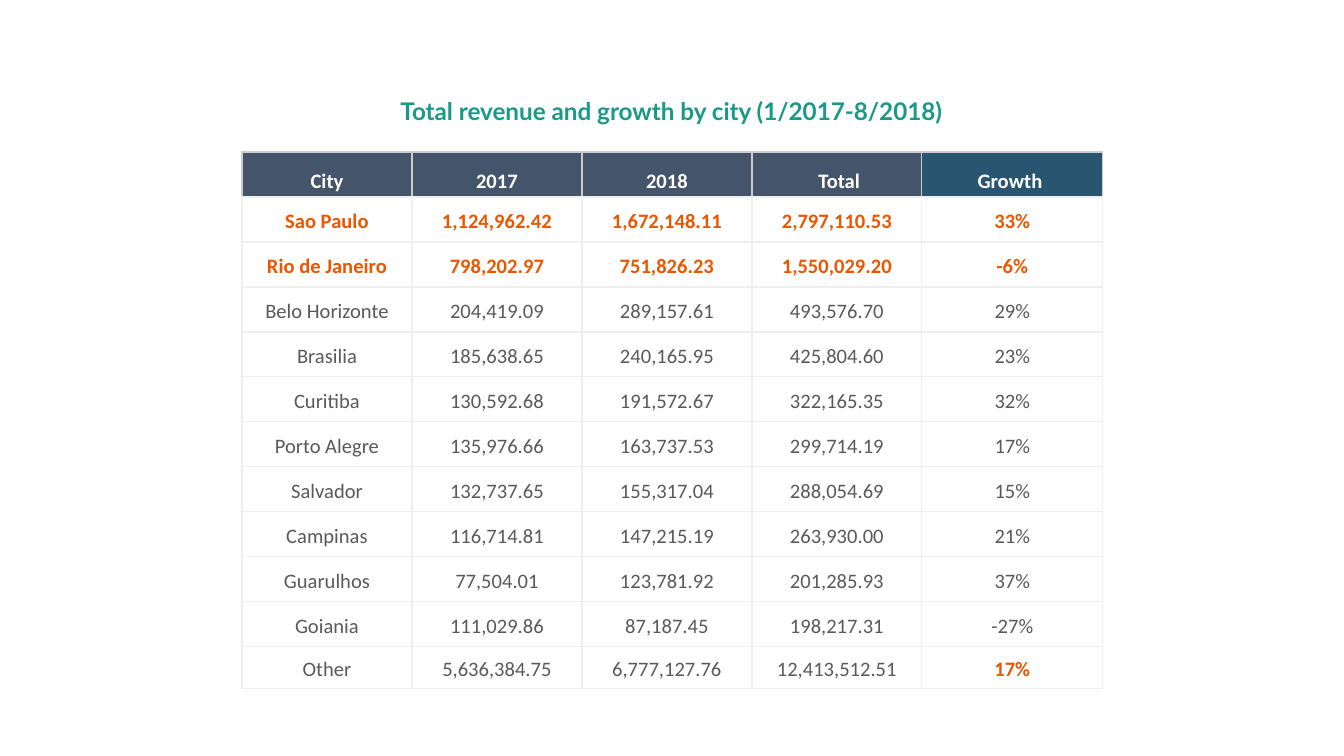
"""Build a slide with a table of total revenue and growth by city."""
from dataclasses import dataclass

from lxml import etree
from pptx import Presentation
from pptx import util as u
from pptx.dml.color import RGBColor
from pptx.enum import text
from pptx.oxml.ns import qn

TITLE = "Total revenue and growth by city (1/2017-8/2018)"
HEADINGS = ("City", "2017", "2018", " Total", "Growth ")
CITIES = [
    ("Sao Paulo", "1,124,962.42", "1,672,148.11", "2,797,110.53", "33%"),
    ("Rio de Janeiro", "798,202.97", "751,826.23", "1,550,029.20", "-6%"),
    ("Belo Horizonte", "204,419.09", "289,157.61", "493,576.70", "29%"),
    ("Brasilia", "185,638.65", "240,165.95", "425,804.60", "23%"),
    ("Curitiba", "130,592.68", "191,572.67", "322,165.35", "32%"),
    ("Porto Alegre", "135,976.66", "163,737.53", "299,714.19", "17%"),
    ("Salvador", "132,737.65", "155,317.04", "288,054.69", "15%"),
    ("Campinas", "116,714.81", "147,215.19", "263,930.00", "21%"),
    ("Guarulhos", "77,504.01", "123,781.92", "201,285.93", "37%"),
    ("Goiania", "111,029.86", "87,187.45", "198,217.31", "-27%"),
    ("Other", "5,636,384.75", "6,777,127.76", "12,413,512.51", "17%"),
]
HIGHLIGHTED_CITIES = ("Sao Paulo", "Rio de Janeiro")
HIGHLIGHTED_GROWTH = ("Other",)

SLIDE_SIZE = (1344, 756)
TITLE_BOX = (126, 70, 1090, 82)
TITLE_INSET = 13
TABLE_ORIGIN = (242, 152)
COLUMN_WIDTHS = [170] * 4 + [181]
ROW_HEIGHTS = [45] * 11 + [42]
CELL_INSET = (4, 3)


@dataclass(frozen=True)
class Theme:
    title_font: str = "Lato"
    table_font: str = "Calibri"
    title_size: int = 13
    table_size: int = 11
    line_spacing: float = 1.15
    border_width: float = 0.75
    title: str = "1A9988"
    heading: str = "FFFFFF"
    heading_fill: str = "44546A"
    growth_fill: str = "295570"
    body: str = "595959"
    highlight: str = "EB5600"
    grid: str = "EFEFEF"
    heading_grid: str = "CCCCCC"


THEME = Theme()


def px(length):
    return u.Emu(round(length * u.Inches(10) / SLIDE_SIZE[0]))


def write(paragraph, words, font, size, color, bold):
    paragraph.text = words
    paragraph.alignment = text.PP_ALIGN.CENTER
    paragraph.font.name = font
    paragraph.font.size = u.Pt(size)
    paragraph.font.bold = bold
    paragraph.font.color.rgb = RGBColor.from_string(color)


def set_borders(cell, colors):
    properties = cell._tc.get_or_add_tcPr()
    for place, (side, color) in enumerate(zip("LRTB", colors)):
        line = etree.Element(qn(f"a:ln{side}"), w=str(u.Pt(THEME.border_width)))
        fill = etree.SubElement(line, qn("a:solidFill"))
        etree.SubElement(fill, qn("a:srgbClr"), val=color)
        properties.insert(place, line)


def add_title(slide):
    frame = slide.shapes.add_textbox(*map(px, TITLE_BOX)).text_frame
    frame.word_wrap = True
    frame.vertical_anchor = text.MSO_ANCHOR.MIDDLE
    frame.margin_left = frame.margin_right = px(TITLE_INSET)
    frame.margin_top = frame.margin_bottom = px(TITLE_INSET)
    write(frame.paragraphs[0], TITLE, THEME.title_font, THEME.title_size, THEME.title, True)


def fill_cell(cell, words, color, bold):
    cell.margin_left = cell.margin_right = px(CELL_INSET[0])
    cell.margin_top = cell.margin_bottom = px(CELL_INSET[1])
    cell.vertical_anchor = text.MSO_ANCHOR.MIDDLE
    cell.fill.background()
    paragraph = cell.text_frame.paragraphs[0]
    write(paragraph, words, THEME.table_font, THEME.table_size, color, bold)
    paragraph.line_spacing = THEME.line_spacing


def add_revenue_table(slide):
    extent = (sum(COLUMN_WIDTHS), sum(ROW_HEIGHTS))
    table = slide.shapes.add_table(
        len(ROW_HEIGHTS), len(COLUMN_WIDTHS), *map(px, TABLE_ORIGIN + extent)
    ).table
    table.horz_banding = False
    for column, width in zip(table.columns, COLUMN_WIDTHS):
        column.width = px(width)
    for row, height in zip(table.rows, ROW_HEIGHTS):
        row.height = px(height)

    growth = len(HEADINGS) - 1
    for c, heading in enumerate(HEADINGS):
        cell = table.cell(0, c)
        fill_cell(cell, heading, THEME.heading, True)
        cell.vertical_anchor = text.MSO_ANCHOR.BOTTOM
        cell.fill.solid()
        color = THEME.growth_fill if c == growth else THEME.heading_fill
        cell.fill.fore_color.rgb = RGBColor.from_string(color)
        set_borders(cell, [THEME.heading_grid] * 3 + [THEME.grid])

    for r, figures in enumerate(CITIES, start=1):
        city = figures[0]
        for c, words in enumerate(figures):
            marked = city in HIGHLIGHTED_CITIES or (c == growth and city in HIGHLIGHTED_GROWTH)
            cell = table.cell(r, c)
            fill_cell(cell, words, THEME.highlight if marked else THEME.body, marked)
            set_borders(cell, [THEME.grid] * 4)


def main():
    deck = Presentation()
    deck.slide_width, deck.slide_height = map(px, SLIDE_SIZE)
    slide = deck.slides.add_slide(deck.slide_layouts[6])
    add_title(slide)
    add_revenue_table(slide)
    deck.save("out.pptx")


if __name__ == "__main__":
    main()
